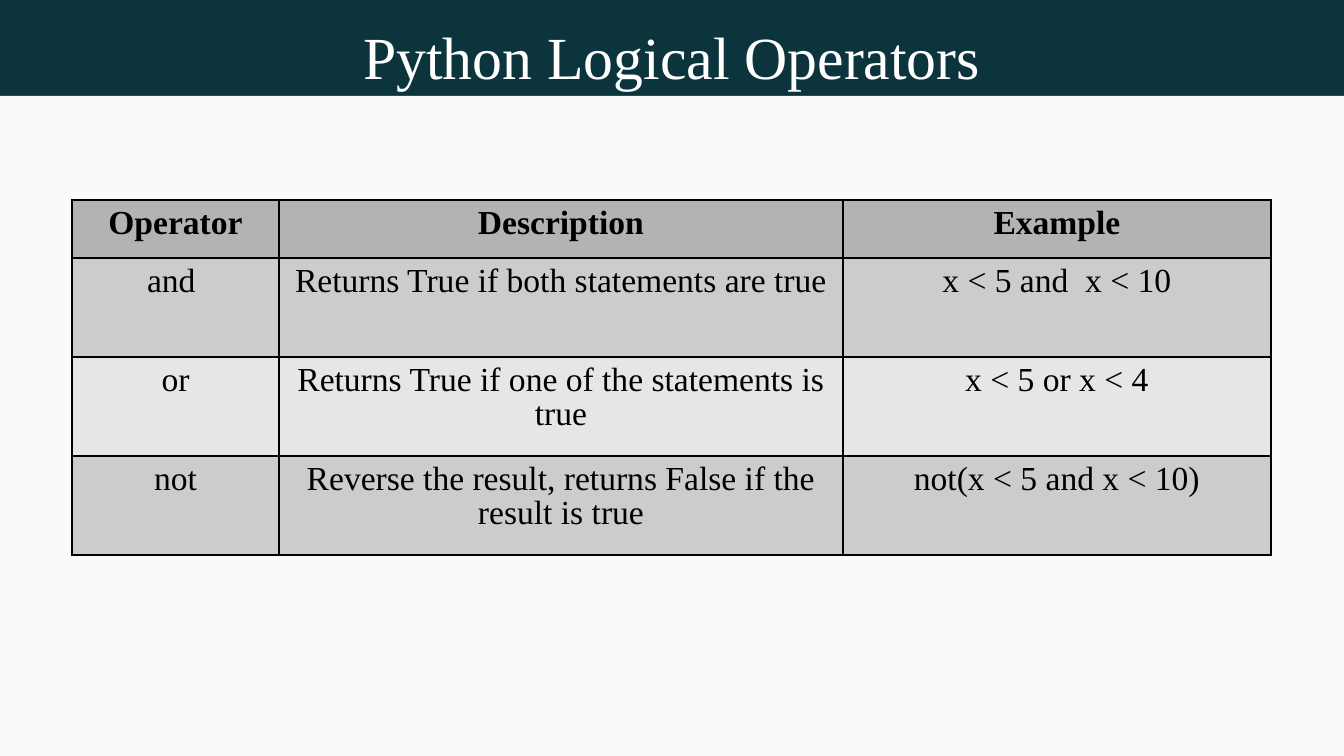
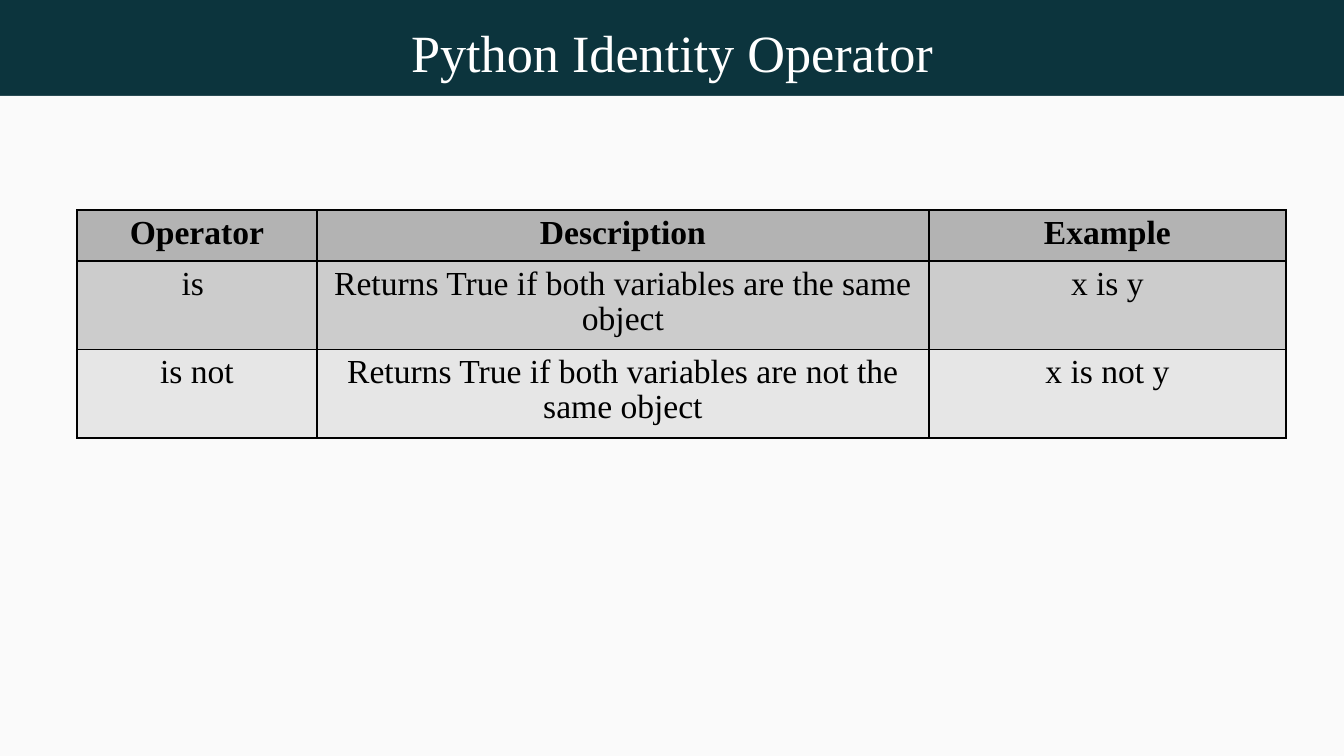
import dataclasses

import pptx
import pptx.dml.color
import pptx.enum.shapes
import pptx.enum.text
import pptx.oxml
import pptx.oxml.ns
import pptx.util

PX = 914400 / 134.4
SLIDE_WIDTH, SLIDE_HEIGHT = 1344, 756
BAND_HEIGHT = 96


@dataclasses.dataclass(frozen=True)
class Theme:
    font: str = "Times New Roman"
    band: str = "0C343D"
    body: str = "FAFAFA"
    title: str = "FFFFFF"
    ink: str = "000000"
    header_fill: str = "B3B3B3"
    row_fills: tuple = ("CCCCCC", "E6E6E6")
    cell_size: int = 18
    cell_spacing: float = 0.93
    border_width: float = 0.96


THEME = Theme()
HEADER = ("Operator", "Description", "Example")

LOGICAL_ROWS = (
    ("and ", "Returns True if both statements are true", "x < 5 and  x < 10"),
    ("or", "Returns True if one of the statements is true", "x < 5 or x < 4"),
    ("not", "Reverse the result, returns False if the result is true",
     "not(x < 5 and x < 10)"),
)
IDENTITY_ROWS = (
    ("is ", "Returns True if both variables are the same object", "x is y"),
    ("is not", "Returns True if both variables are not the same object",
     "x is not y"),
)


def px(length):
    return pptx.util.Emu(round(length * PX))


def rgb(color):
    return pptx.dml.color.RGBColor.from_string(color)


def write_text(frame, text, *, size, color=THEME.ink, bold=False, spacing=None):
    """Fill a text frame with one centred paragraph."""
    frame.word_wrap = True
    para = frame.paragraphs[0]
    para.alignment = pptx.enum.text.PP_ALIGN.CENTER
    if spacing:
        para.line_spacing = spacing
    span = para.add_run()
    span.text = text
    span.font.name = THEME.font
    span.font.size = pptx.util.Pt(size)
    span.font.bold = bold
    span.font.color.rgb = rgb(color)


def add_panel(page, top, height, color):
    """Draw a plain rectangle across the full page width."""
    panel = page.shapes.add_shape(
        pptx.enum.shapes.MSO_SHAPE.RECTANGLE,
        0, px(top), px(SLIDE_WIDTH), px(height))
    panel.shadow.inherit = False
    panel.fill.solid()
    panel.fill.fore_color.rgb = rgb(color)
    panel.line.fill.background()


def add_title(page, text, size, height):
    box = page.shapes.add_textbox(px(53), px(20), px(1238), px(height))
    frame = box.text_frame
    frame.margin_left = frame.margin_right = 0
    frame.margin_top = frame.margin_bottom = 0
    write_text(frame, text, size=size, color=THEME.title)


def add_borders(cell):
    properties = cell._tc.get_or_add_tcPr()
    width = pptx.util.Pt(THEME.border_width)
    for index, side in enumerate("LRTB"):
        properties.insert(index, pptx.oxml.parse_xml(
            f'<a:ln{side} {pptx.oxml.ns.nsdecls("a")} w="{width}">'
            f'<a:solidFill><a:srgbClr val="{THEME.ink}"/></a:solidFill>'
            f'</a:ln{side}>'))


def style_cell(cell, text, fill, bold):
    cell.margin_left = cell.margin_right = pptx.util.Inches(0.1)
    cell.margin_top = cell.margin_bottom = pptx.util.Inches(0.05)
    cell.fill.solid()
    cell.fill.fore_color.rgb = rgb(fill)
    add_borders(cell)
    write_text(cell.text_frame, text, size=THEME.cell_size, bold=bold,
               spacing=THEME.cell_spacing)


def add_operator_table(page, rows, *, left, top, widths, header_height, row_height):
    lines = (HEADER, *rows)
    heights = [header_height] + [row_height] * len(rows)
    table = page.shapes.add_table(
        len(lines), len(HEADER), px(left), px(top),
        px(sum(widths)), px(sum(heights))).table
    for column, width in zip(table.columns, widths):
        column.width = px(width)
    for index, (line, height) in enumerate(zip(lines, heights)):
        table.rows[index].height = px(height)
        is_header = index == 0
        fill = THEME.header_fill if is_header else THEME.row_fills[(index - 1) % 2]
        for column, text in enumerate(line):
            style_cell(table.cell(index, column), text, fill, is_header)


def add_operator_slide(deck, title, title_size, title_height, rows, **layout):
    page = deck.slides.add_slide(deck.slide_layouts[6])
    add_panel(page, 0, BAND_HEIGHT, THEME.band)
    add_panel(page, BAND_HEIGHT, SLIDE_HEIGHT - BAND_HEIGHT, THEME.body)
    add_title(page, title, title_size, title_height)
    add_operator_table(page, rows, **layout)


def main():
    deck = pptx.Presentation()
    deck.slide_width, deck.slide_height = px(SLIDE_WIDTH), px(SLIDE_HEIGHT)
    add_operator_slide(
        deck, "Python Logical Operators", 32, 73, LOGICAL_ROWS,
        left=72, top=200, widths=(207, 564, 428),
        header_height=58, row_height=99)
    add_operator_slide(
        deck, "Python Identity Operator", 28, 63, IDENTITY_ROWS,
        left=77, top=210, widths=(240, 612, 357),
        header_height=51, row_height=85)
    deck.save("out.pptx")


if __name__ == "__main__":
    main()
